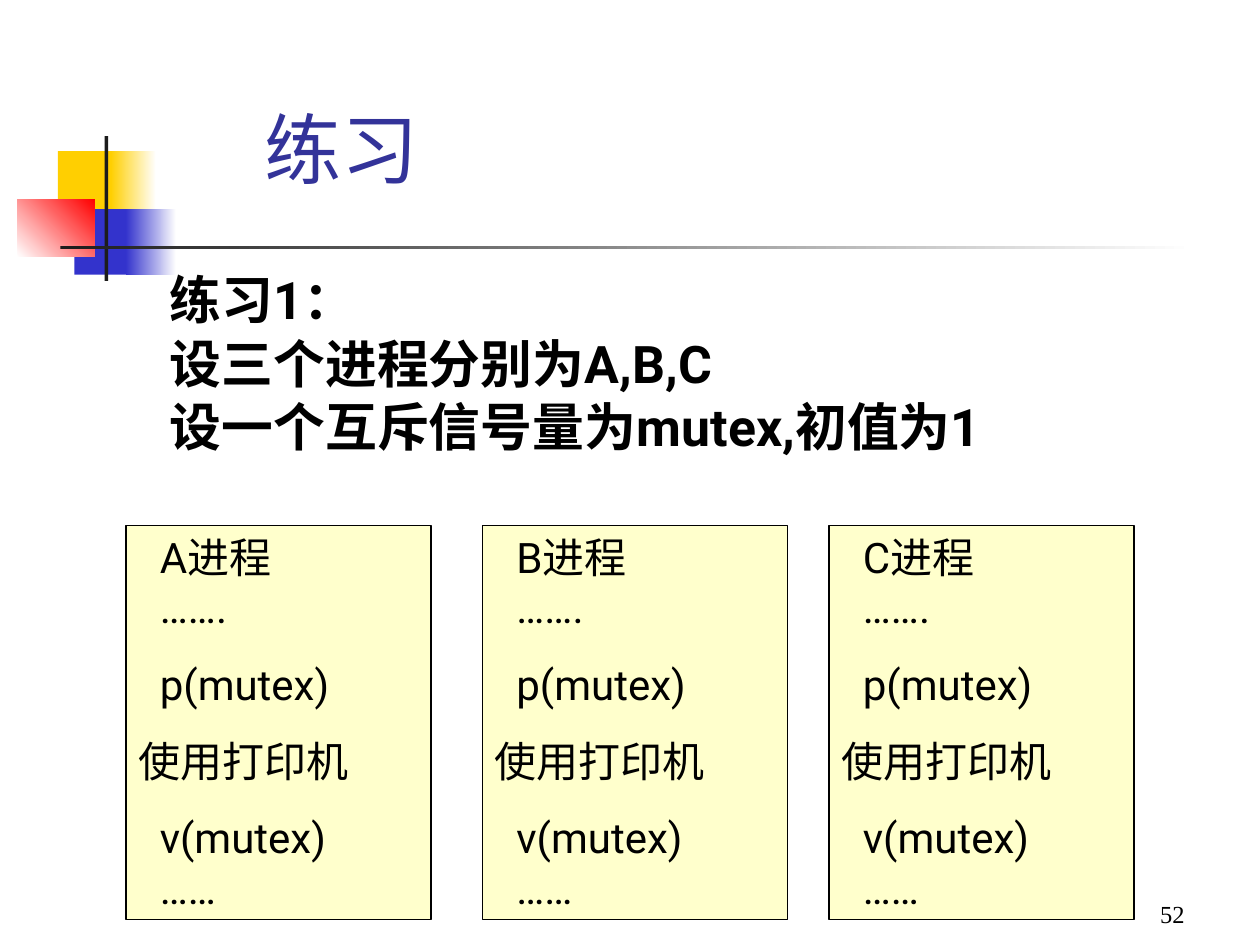
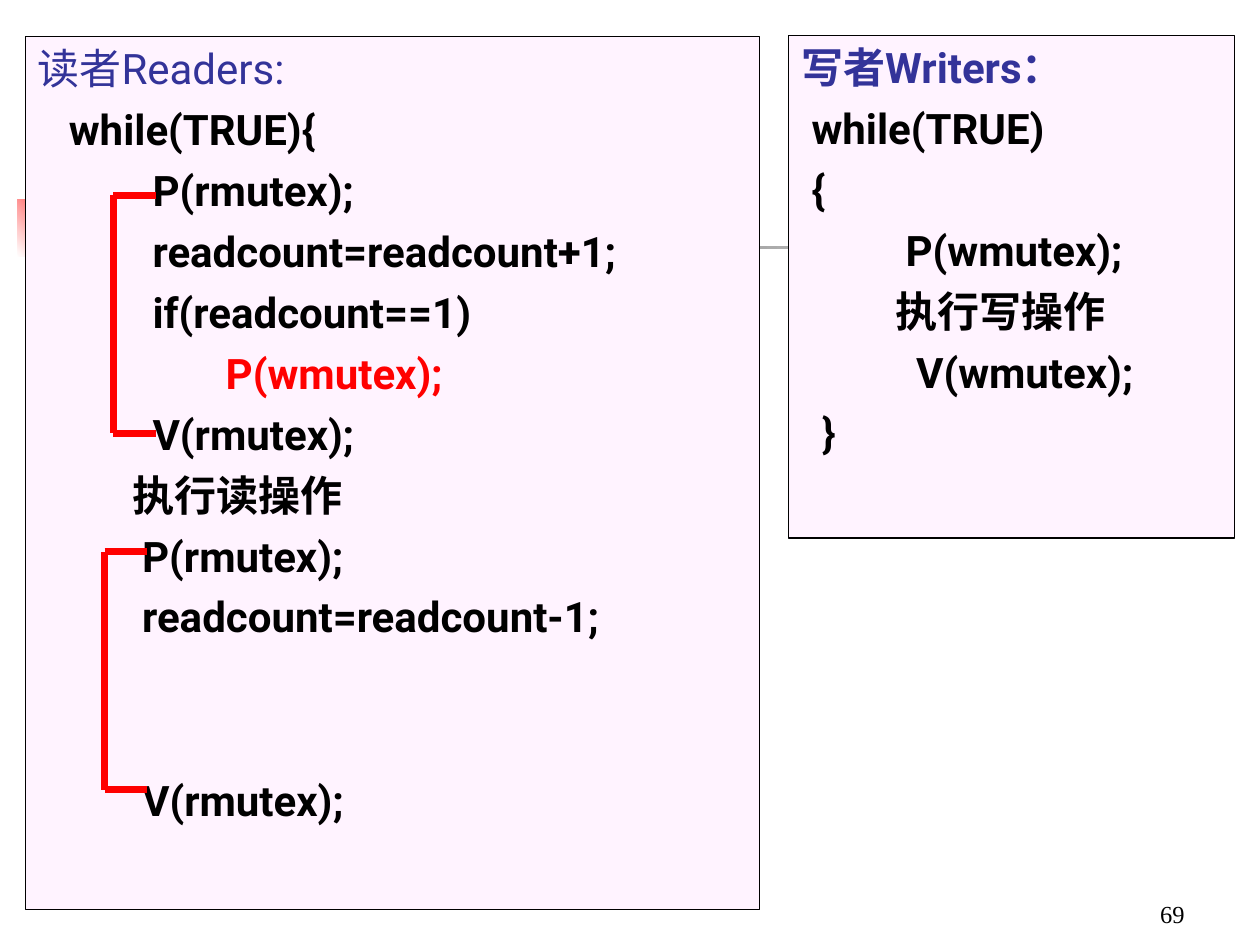
from dataclasses import dataclass
from lxml import etree
from pptx import Presentation
from pptx.dml.color import RGBColor
from pptx.enum.shapes import MSO_CONNECTOR, MSO_SHAPE
from pptx.enum.text import MSO_ANCHOR, PP_ALIGN
from pptx.oxml.ns import qn
from pptx.util import Inches, Pt

RECT = MSO_SHAPE.RECTANGLE
STRAIGHT = MSO_CONNECTOR.STRAIGHT
TOP, BOTTOM = MSO_ANCHOR.TOP, MSO_ANCHOR.BOTTOM
LEFT, RIGHT = PP_ALIGN.LEFT, PP_ALIGN.RIGHT

COLORS = {
    "title": "333399", "text": "000000", "white": "FFFFFF", "red": "FF0000",
    "yellow": "FFCF01", "blue": "3333CC", "dark": "1C1C1C",
    "process": "FFFFCC", "panel": "FFF3FF",
}
FONT = "Roboto"
NUMBER_FONT = "Times New Roman"
ROW = 34.9  # distance between code rows, in points


@dataclass
class Box:
    x: float
    y: float
    w: float
    h: float


@dataclass
class Block:
    """A rectangle in one colour, or fading to a second one."""
    box: Box
    color: str
    fade: str = ""
    angle: int = 0


@dataclass
class Line:
    text: str
    color: str = "text"
    bold: bool = True
    indent: float = 0
    before: float = 6


@dataclass
class Bracket:
    x: float
    y: float
    w: float = 0.34
    h: float = 1.89


# Corner ornament: the squares and upright bar, then the parts on every slide
CORNER = [
    Block(Box(0.46, 1.2, 0.48, 0.52), "yellow"),
    Block(Box(0.88, 1.2, 0.36, 0.52), "yellow", "white"),
    Block(Box(0.59, 1.66, 0.46, 0.52), "blue"),
    Block(Box(1, 1.66, 0.4, 0.52), "blue", "white"),
    Block(Box(0.83, 1.08, 0.03, 1.15), "dark"),
]
SHARED = [
    Block(Box(0.14, 1.58, 0.61, 0.46), "white", "red", 45),
    Block(Box(0.48, 1.95, 9, 0.03), "dark", "white"),
]

READERS = [
    Line("读者Readers:", "title", bold=False),
    Line("   while(TRUE){"),
    Line("           P(rmutex);"),
    Line("           readcount=readcount+1;"),
    Line("           if(readcount==1)"),
    Line("                  P(wmutex);", "red"),
    Line("           V(rmutex);"),
    Line("执行读操作", indent=0.75),
    Line("          P(rmutex);"),
    Line("          readcount=readcount-1;"),
    Line("          V(rmutex);", before=6 + 2 * ROW),
]
WRITERS = [
    Line("写者Writers：", "title"),
    Line(" while(TRUE)"),
    Line(" {"),
    Line("          P(wmutex);"),
    Line("执行写操作", indent=0.75),
    Line("           V(wmutex);"),
    Line("  }"),
]


def rgb(name: str) -> RGBColor:
    return RGBColor.from_string(COLORS[name])


def place(box: Box) -> list:
    return [Inches(v) for v in (box.x, box.y, box.w, box.h)]


def add_rect(s, box: Box, fill: str, line: str = ""):
    sp = s.shapes.add_shape(RECT, *place(box))
    sp.shadow.inherit = False
    sp.fill.solid()
    sp.fill.fore_color.rgb = rgb(fill)
    if line:
        sp.line.color.rgb = rgb(line)
        sp.line.width = Pt(0.75)
    else:
        sp.line.fill.background()
    return sp


def add_block(s, block: Block) -> None:
    sp = add_rect(s, block.box, block.color)
    if block.fade:
        sp.fill.gradient()
        sp.fill.gradient_angle = block.angle
        for stop, name in zip(sp.fill.gradient_stops, (block.color, block.fade)):
            stop.color.rgb = rgb(name)


def write(sp, lines: list[Line], *, size: float = 24, font: str = FONT,
          align=LEFT, anchor=TOP, spacing: float = 1) -> None:
    tf = sp.text_frame
    tf.word_wrap = True
    tf.vertical_anchor = anchor
    for i, line in enumerate(lines):
        p = tf.paragraphs[0] if i == 0 else tf.add_paragraph()
        p.alignment = align
        p.line_spacing = spacing
        p.space_before = Pt(line.before if i else 0)
        if line.indent:
            p._p.get_or_add_pPr().set("marL", str(Inches(line.indent)))
        for j, part in enumerate(line.text.split("\n")):
            if j:
                p.add_line_break()
            r = p.add_run()
            r.text = part
            r.font.size = Pt(size)
            r.font.bold = line.bold
            r.font.color.rgb = rgb(line.color)
            r.font.name = font
            # East Asian face
            etree.SubElement(r._r.get_or_add_rPr(), qn("a:ea")).set("typeface", font)


def add_text(s, box: Box, lines: list[Line], **fmt) -> None:
    write(s.shapes.add_textbox(*place(box)), lines, **fmt)


def add_bracket(s, b: Bracket) -> None:
    right, bottom = b.x + b.w, b.y + b.h
    for ends in ((b.x, b.y, right, b.y), (b.x, b.y, b.x, bottom),
                 (b.x, bottom, right, bottom)):
        c = s.shapes.add_connector(STRAIGHT, *[Inches(v) for v in ends])
        c.line.color.rgb = rgb("red")
        c.line.width = Pt(4)
        etree.SubElement(c._element.spPr, qn("a:effectLst"))


def add_page(prs, blocks: list[Block]):
    s = prs.slides.add_slide(prs.slide_layouts[6])
    for block in blocks:
        add_block(s, block)
    return s


def add_number(s, number: int) -> None:
    add_text(s, Box(7.42, 6.92, 2.08, 0.5), [Line(str(number), bold=False)],
             size=14, font=NUMBER_FONT, align=RIGHT, anchor=BOTTOM)


def build_exercise(prs) -> None:
    s = add_page(prs, CORNER + SHARED)
    task = ["练习1：", "设三个进程分别为A,B,C", "设一个互斥信号量为mutex,初值为1"]
    add_text(s, Box(1.25, 2.17, 7.67, 1.92), [Line(t, before=8) for t in task],
             size=29.6, spacing=0.8)
    add_text(s, Box(2, 0.67, 6.83, 0.92), [Line("练习", "title", bold=False)],
             size=44, anchor=BOTTOM)
    # One box per process
    for name, x in zip("ABC", (1, 3.83, 6.58)):
        steps = [(f"{name}进程\n…….", 0.17), ("p(mutex)", 0.17),
                 ("使用打印机", 0), ("v(mutex)\n……", 0.17)]
        sp = add_rect(s, Box(x, 4.17, 2.42, 3.13), "process", "text")
        write(sp, [Line(t, bold=False, indent=d, before=15) for t, d in steps])
    add_number(s, 52)


def build_readers_writers(prs) -> None:
    s = add_page(prs, SHARED)
    for box, code in ((Box(0.2, 0.29, 5.83, 6.93), READERS),
                      (Box(6.26, 0.28, 3.54, 3.99), WRITERS)):
        write(add_rect(s, box, "panel", "text"), code)
    # Critical sections
    for bracket in (Bracket(0.9, 1.55), Bracket(0.83, 4.38)):
        add_bracket(s, bracket)
    add_number(s, 69)


def main() -> None:
    prs = Presentation()
    prs.slide_width, prs.slide_height = Inches(10), Inches(7.5)
    build_exercise(prs)
    build_readers_writers(prs)
    prs.save("out.pptx")


if __name__ == "__main__":
    main()
